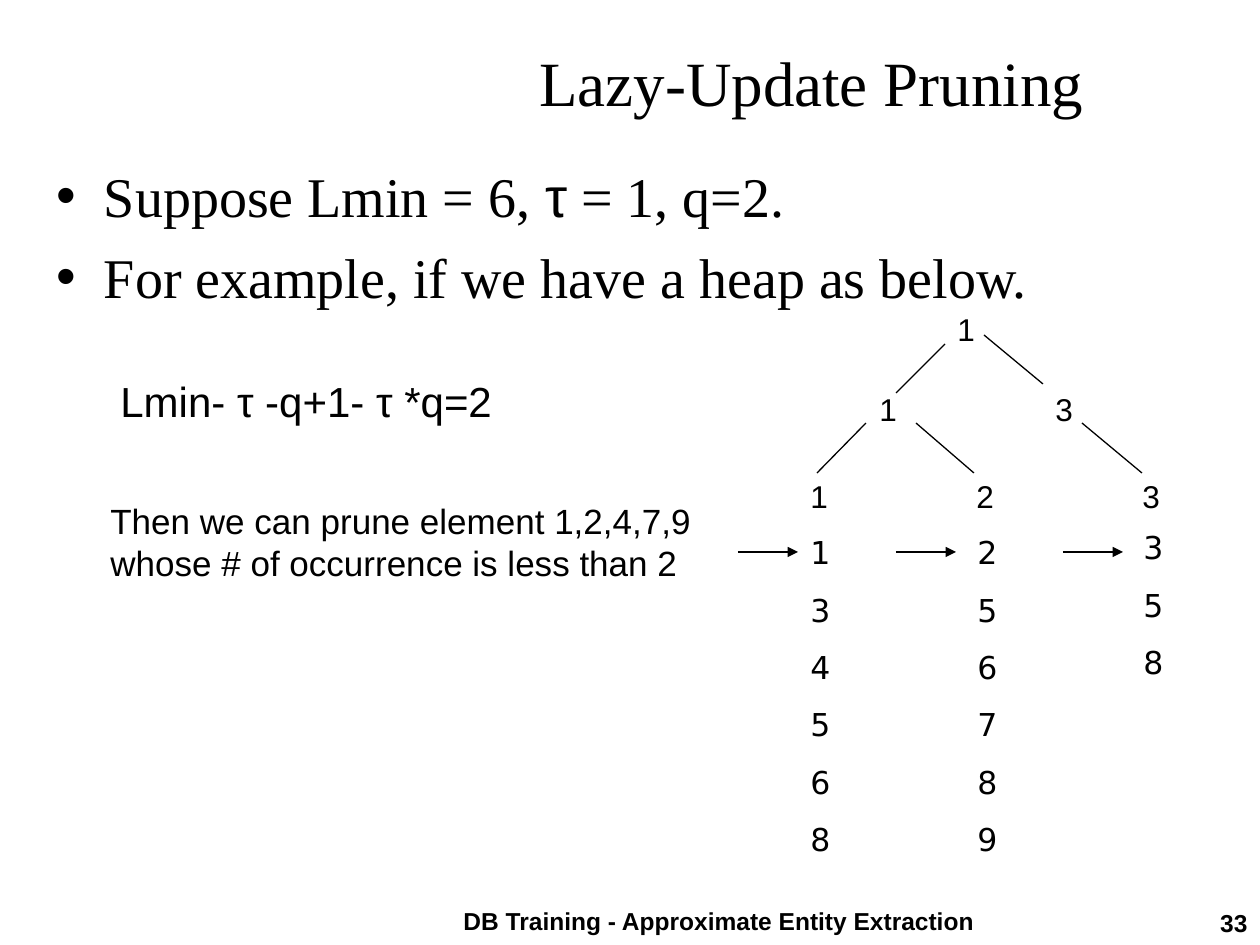
from dataclasses import dataclass
from lxml import etree
from pptx import Presentation, util as u
from pptx.dml.color import RGBColor
from pptx.enum import shapes, text
from pptx.oxml.ns import qn


@dataclass(frozen=True)
class Theme:
    ink: RGBColor = RGBColor(0, 0, 0)
    serif: str = "Times New Roman"
    sans: str = "Arial"
    list_font: str = "DejaVu Sans"
    title: int = 36
    body: int = 32
    math: int = 24
    note: int = 20
    node: int = 18
    foot: int = 14
    line: float = 0.75


T = Theme()
SCALE = 914400 / 126
PITCH = 166

TITLE = "Lazy-Update Pruning"
BULLETS = [
    [("Suppose Lmin = 6, ", T.serif), ("τ", T.sans), (" = 1, q=2.", T.serif)],
    "For example, if we have a heap as below.",
]
NOTES = [
    ("Lmin- τ -q+1- τ *q=2", (108, 369, 601, 63), T.math),
    ("Then we can prune element 1,2,4,7,9 whose # of occurrence is less than 2",
     (98, 493, 630, 97), T.note),
]
FOOT = [
    ("DB Training - Approximate Entity Extraction", (441, 900, 556, 45),
     text.PP_ALIGN.CENTER),
    ("33", (1057, 902, 203, 43), text.PP_ALIGN.RIGHT),
]
NODES = [("1", 945, 304), ("1", 867, 384), ("3", 1043, 384)]
LEAVES = ["1", "2", "3"]
LISTS = [
    ("134568", (798, 527, 84, 338)),
    ("256789", (965, 527, 73, 338)),
    ("358", (1131, 522, 39, 166)),
]
EDGES = [
    (817, 473, 866, 423), (974, 473, 916, 423), (896, 393, 945, 344),
    (1142, 473, 1082, 423), (1043, 384, 984, 335),
]
ARROWS = [738, 896, 1063]


def px(n):
    return u.Emu(round(n * SCALE))


def place(shape, box):
    shape.left, shape.top, shape.width, shape.height = map(px, box)


def write(shape, paras, size, font=T.sans, bold=False, align=None, gap=0, tabs=()):
    frame = shape.text_frame
    frame.word_wrap = True
    frame.auto_size = text.MSO_AUTO_SIZE.NONE
    for i, parts in enumerate(paras):
        para = frame.paragraphs[0] if i == 0 else frame.add_paragraph()
        para.space_before = u.Pt(gap if i else 0)
        para.alignment = align
        if tabs:
            stops = etree.SubElement(para._p.get_or_add_pPr(), qn("a:tabLst"))
            for pos in tabs:
                etree.SubElement(stops, qn("a:tab"), pos=str(px(pos)), algn="l")
        for words, face in [(parts, font)] if isinstance(parts, str) else parts:
            run = para.add_run()
            run.text = words
            run.font.name = face
            run.font.size = u.Pt(size)
            run.font.bold = bold
            run.font.color.rgb = T.ink


def label(slide, paras, box, size, **form):
    shape = slide.shapes.add_textbox(*map(px, box))
    write(shape, paras, size, **form)


def link(slide, ends, arrow=False):
    line = slide.shapes.add_connector(shapes.MSO_CONNECTOR.STRAIGHT, *map(px, ends))
    line.line.color.rgb = T.ink
    line.line.width = u.Pt(T.line)
    if arrow:
        etree.SubElement(line.line._get_or_add_ln(), qn("a:tailEnd"), type="triangle")
    etree.SubElement(line._element.spPr, qn("a:effectLst"))


def main():
    deck = Presentation()
    deck.slide_width, deck.slide_height = px(1260), px(945)
    slide = deck.slides.add_slide(deck.slide_layouts[1])

    title, body = slide.placeholders
    place(title, (144, 26, 952, 110))
    write(title, [TITLE], T.title, font=T.serif, align=text.PP_ALIGN.RIGHT)
    title.text_frame.vertical_anchor = text.MSO_ANCHOR.MIDDLE
    place(body, (44, 155, 1181, 725))
    write(body, BULLETS, T.body, font=T.serif, gap=8)

    for words, box, align in FOOT:
        label(slide, [words], box, T.foot, bold=True, align=align)
    for items, box in LISTS:
        label(slide, items, box, T.node, font=T.list_font, gap=11.2)
    for ends in EDGES:
        link(slide, ends)
    for words, x, y in NODES:
        label(slide, [words], (x, y, 59, 50), T.node)
    stops = [PITCH * i for i in range(1, len(LEAVES))]
    label(slide, ["\t".join(LEAVES)], (798, 471, 384, 50), T.node, tabs=stops)
    for words, box, size in NOTES:
        label(slide, [words], box, size)
    for x in ARROWS:
        link(slide, (x, 552, x + 60, 552), arrow=True)

    deck.save("out.pptx")


if __name__ == "__main__":
    main()
